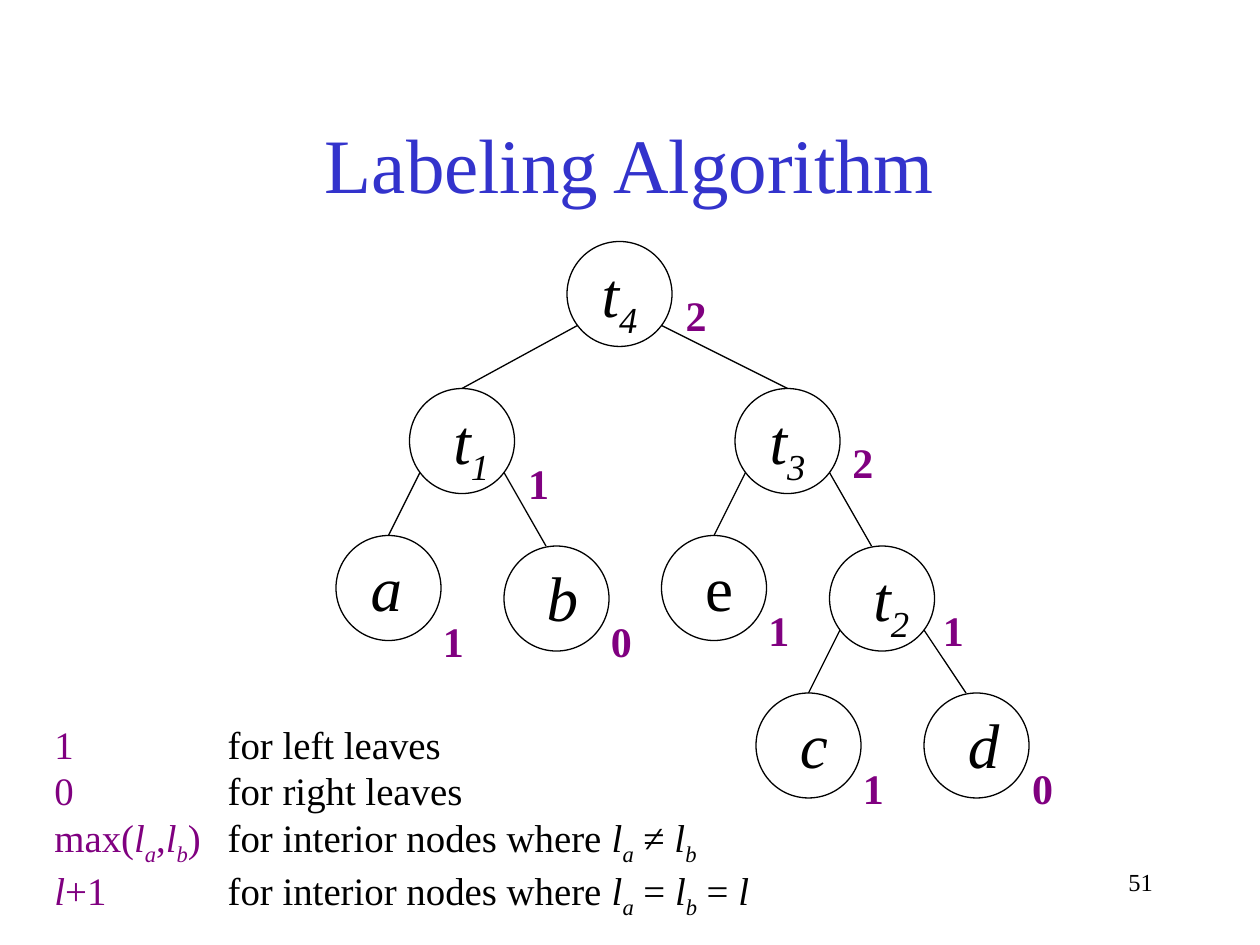
from collections import namedtuple
from dataclasses import dataclass

from lxml import etree
from pptx import Presentation
from pptx.dml.color import RGBColor
from pptx.enum.shapes import MSO_CONNECTOR, MSO_SHAPE
from pptx.enum.text import MSO_ANCHOR, MSO_AUTO_SIZE, PP_ALIGN
from pptx.oxml.ns import qn
from pptx.util import Pt

PX = 9525  # EMU per px at 96 px to the inch


@dataclass(frozen=True)
class Theme:
    font: str = "Times New Roman"
    ink: RGBColor = RGBColor(0x00, 0x00, 0x00)
    paper: RGBColor = RGBColor(0xFF, 0xFF, 0xFF)
    heading: RGBColor = RGBColor(0x33, 0x33, 0xCC)
    accent: RGBColor = RGBColor(0x80, 0x00, 0x80)
    title_size: float = 44
    node_size: float = 36
    weight_size: float = 24
    rule_size: float = 22.2
    number_size: float = 14
    line: float = 0.75


theme = Theme()


def add_run(paragraph, text, size, color, style=""):
    """Style letters: i italic, b bold, s subscript."""
    run = paragraph.add_run()
    run.text = text
    run.font.name = theme.font
    run.font.size = Pt(size)
    run.font.color.rgb = color
    run.font.italic = "i" in style
    run.font.bold = "b" in style
    if "s" in style:
        run.font._element.set("baseline", "-25000")


def add_text_frame(shapes, left, top, width, height, wrap=False):
    frame = shapes.add_textbox(left * PX, top * PX, width * PX, height * PX).text_frame
    frame.word_wrap = wrap
    frame.auto_size = MSO_AUTO_SIZE.NONE if wrap else MSO_AUTO_SIZE.SHAPE_TO_FIT_TEXT
    return frame


prs = Presentation()
prs.slide_width, prs.slide_height = 960 * PX, 720 * PX
slide = prs.slides.add_slide(prs.slide_layouts[5])

title = slide.shapes.title
title.left, title.top, title.width, title.height = 72 * PX, 64 * PX, 816 * PX, 120 * PX
title.text_frame.vertical_anchor = MSO_ANCHOR.MIDDLE
heading = title.text_frame.paragraphs[0]
heading.alignment = PP_ALIGN.CENTER
add_run(heading, "Labeling Algorithm", theme.title_size, theme.heading)

# Labeling rules: what the label is, then the case it applies to
INDENT, TAB_STEP = 36, 96
L_A = [("l", "i"), ("a", "is")]
L_B = [("l", "i"), ("b", "is")]
rules = [
    ([("1 \t\t\t", "")], [("for left leaves", "")]),
    ([("0 \t\t\t", "")], [("for right leaves", "")]),
    ([("max(", ""), *L_A, (",", ""), *L_B, (") \t", "")],
     [("for interior nodes where ", ""), *L_A, (" ≠ ", ""), *L_B]),
    ([("l", "i"), ("+1 \t\t", "")],
     [("for interior nodes where ", ""), *L_A, (" = ", ""), *L_B, (" = ", ""), ("l", "i")]),
]
rules_frame = add_text_frame(slide.shapes, 32, 544, 816, 168, wrap=True)
for index, (label, case) in enumerate(rules):
    rule = rules_frame.add_paragraph() if index else rules_frame.paragraphs[0]
    properties = rule._p.get_or_add_pPr()
    properties.set("marL", str(INDENT * PX))
    properties.set("indent", str(-INDENT * PX))
    tabs = etree.SubElement(properties, qn("a:tabLst"))
    for stop in range(8):
        etree.SubElement(tabs, qn("a:tab"), pos=str((INDENT + stop * TAB_STEP) * PX), algn="l")
    for parts, color in ((label, theme.accent), (case, theme.ink)):
        for text, style in parts:
            add_run(rule, text, theme.rule_size, color, style)

# Tree: circle corner, text inset and width, label offset from the corner
DIAMETER = 80
Node = namedtuple("Node", "x y inset width weight weight_dx weight_dy")
nodes = {
    "t4": Node(432, 184, 17, 48, "2", 81, 32),
    "t1": Node(312, 296, 24, 48, "1", 81, 48),
    "t3": Node(560, 296, 17, 48, "2", 80, 32),
    "t2": Node(632, 416, 24, 48, "1", 77, 40),
    "c": Node(576, 528, 24, 40, "1", 72, 48),
    "e": Node(504, 408, 24, 40, "1", 72, 48),
    "d": Node(704, 528, 24, 43, "0", 73, 48),
    "a": Node(256, 408, 17, 43, "1", 72, 56),
    "b": Node(384, 416, 23, 43, "0", 72, 48),
}
# Parent, child, start on the parent's circle, end on the child's circle
LEFT, RIGHT = 8, 72
edges = [
    ("t4", "t1", LEFT, 40), ("t4", "t3", RIGHT, 40),
    ("t1", "a", LEFT, 40), ("t1", "b", RIGHT, 32),
    ("t3", "e", LEFT, 40), ("t3", "t2", RIGHT, 32),
    ("t2", "c", LEFT, 40), ("t2", "d", RIGHT, 32),
]
for parent_name, child_name, start, end in edges:
    parent, child = nodes[parent_name], nodes[child_name]
    edge = slide.shapes.add_connector(
        MSO_CONNECTOR.STRAIGHT, (parent.x + start) * PX, (parent.y + 64) * PX,
        (child.x + end) * PX, child.y * PX)
    edge.line.color.rgb = theme.ink
    edge.line.width = Pt(theme.line)
    etree.SubElement(edge._element.spPr, qn("a:effectLst"))

for name, node in nodes.items():
    group = slide.shapes.add_group_shape().shapes
    circle = group.add_shape(
        MSO_SHAPE.OVAL, node.x * PX, node.y * PX, DIAMETER * PX, DIAMETER * PX)
    circle.shadow.inherit = False
    circle.fill.solid()
    circle.fill.fore_color.rgb = theme.paper
    circle.line.color.rgb = theme.ink
    circle.line.width = Pt(theme.line)

    letter, subscript = name[0], name[1:]
    caption = add_text_frame(group, node.x + node.inset, node.y + 5, node.width,
                             76 if subscript else 67).paragraphs[0]
    add_run(caption, letter, theme.node_size, theme.ink, "" if letter == "e" else "i")
    if subscript:
        add_run(caption, subscript, theme.node_size, theme.ink, "is")

for node in nodes.values():
    weight = add_text_frame(
        slide.shapes, node.x + node.weight_dx, node.y + node.weight_dy, 34, 48).paragraphs[0]
    add_run(weight, node.weight, theme.weight_size, theme.accent, "b")

page_number = add_text_frame(slide.shapes, 688, 656, 200, 48, wrap=True).paragraphs[0]
page_number.alignment = PP_ALIGN.RIGHT
add_run(page_number, "51", theme.number_size, theme.ink)

prs.save("out.pptx")
